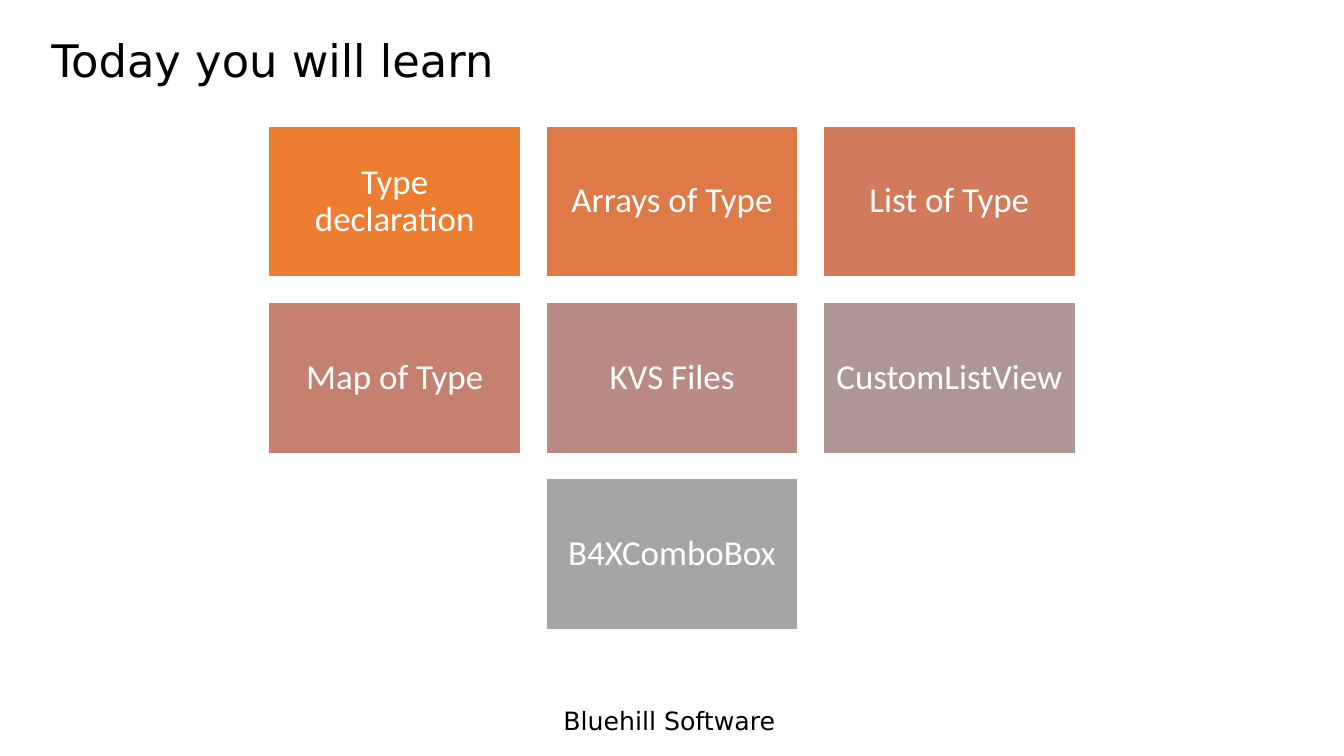
from pptx import Presentation
from pptx.dml.color import RGBColor
from pptx.enum import shapes, text
from pptx.util import Inches, Pt

TITLE = "Today you will learn"
FOOTER = "Bluehill Software"
BLACK = RGBColor(0, 0, 0)
WHITE = RGBColor(255, 255, 255)
TOPICS = [
    [("Type declaration", RGBColor(0xED, 0x7D, 0x31)),
     ("Arrays of Type", RGBColor(0xDE, 0x7A, 0x47)),
     ("List of Type", RGBColor(0xD1, 0x7B, 0x5C))],
    [("Map of Type", RGBColor(0xC4, 0x81, 0x70)),
     ("KVS Files", RGBColor(0xB9, 0x8A, 0x82)),
     ("CustomListView", RGBColor(0xAE, 0x96, 0x94))],
    [("B4XComboBox", RGBColor(0xA5, 0xA5, 0xA5))],
]
WIDE, HIGH = 13.33, 7.5
BOX_W, BOX_H, GAP, TOP = 2.5, 1.5, 0.25, 1.25


def write(frame, words, size, font, color, align, anchor):
    frame.word_wrap = True
    frame.vertical_anchor = anchor
    para = frame.paragraphs[0]
    para.alignment = align
    run = para.add_run()
    run.text = words
    run.font.size = Pt(size)
    run.font.name = font
    run.font.color.rgb = color
    return para


def place(shape, *box):
    shape.left, shape.top, shape.width, shape.height = map(Inches, box)


def add_topic(slide, words, fill, left, top):
    box = slide.shapes.add_shape(
        shapes.MSO_SHAPE.RECTANGLE, *map(Inches, (left, top, BOX_W, BOX_H)))
    box.shadow.inherit = False
    box.fill.solid()
    box.fill.fore_color.rgb = fill
    box.line.color.rgb = WHITE
    box.line.width = Pt(1)
    frame = box.text_frame
    frame.margin_left = frame.margin_right = Inches(0.1)
    frame.margin_top = frame.margin_bottom = Inches(0.1)
    para = write(frame, words, 25, "Calibri", WHITE,
                 text.PP_ALIGN.CENTER, text.MSO_ANCHOR.MIDDLE)
    para.line_spacing = 0.9


def main():
    deck = Presentation()
    deck.slide_width, deck.slide_height = Inches(WIDE), Inches(HIGH)
    slide = deck.slides.add_slide(deck.slide_layouts[5])

    foot = slide.shapes.add_textbox(*map(Inches, (5.49, 6.95, 2.9, 0.4)))
    write(foot.text_frame, FOOTER, 18, "DejaVu Sans", BLACK,
          text.PP_ALIGN.LEFT, text.MSO_ANCHOR.TOP)

    title = slide.shapes.title
    place(title, 0.41, 0.15, 12.01, 0.95)
    para = write(title.text_frame, TITLE, 32, "DejaVu Sans", BLACK,
                 text.PP_ALIGN.LEFT, text.MSO_ANCHOR.MIDDLE)
    para.line_spacing = 0.9

    for r, row in enumerate(TOPICS):
        span = len(row) * (BOX_W + GAP) - GAP
        for c, (words, fill) in enumerate(row):
            left = (WIDE - span) / 2 + c * (BOX_W + GAP)
            add_topic(slide, words, fill, left, TOP + r * (BOX_H + GAP))

    deck.save("out.pptx")


if __name__ == "__main__":
    main()
